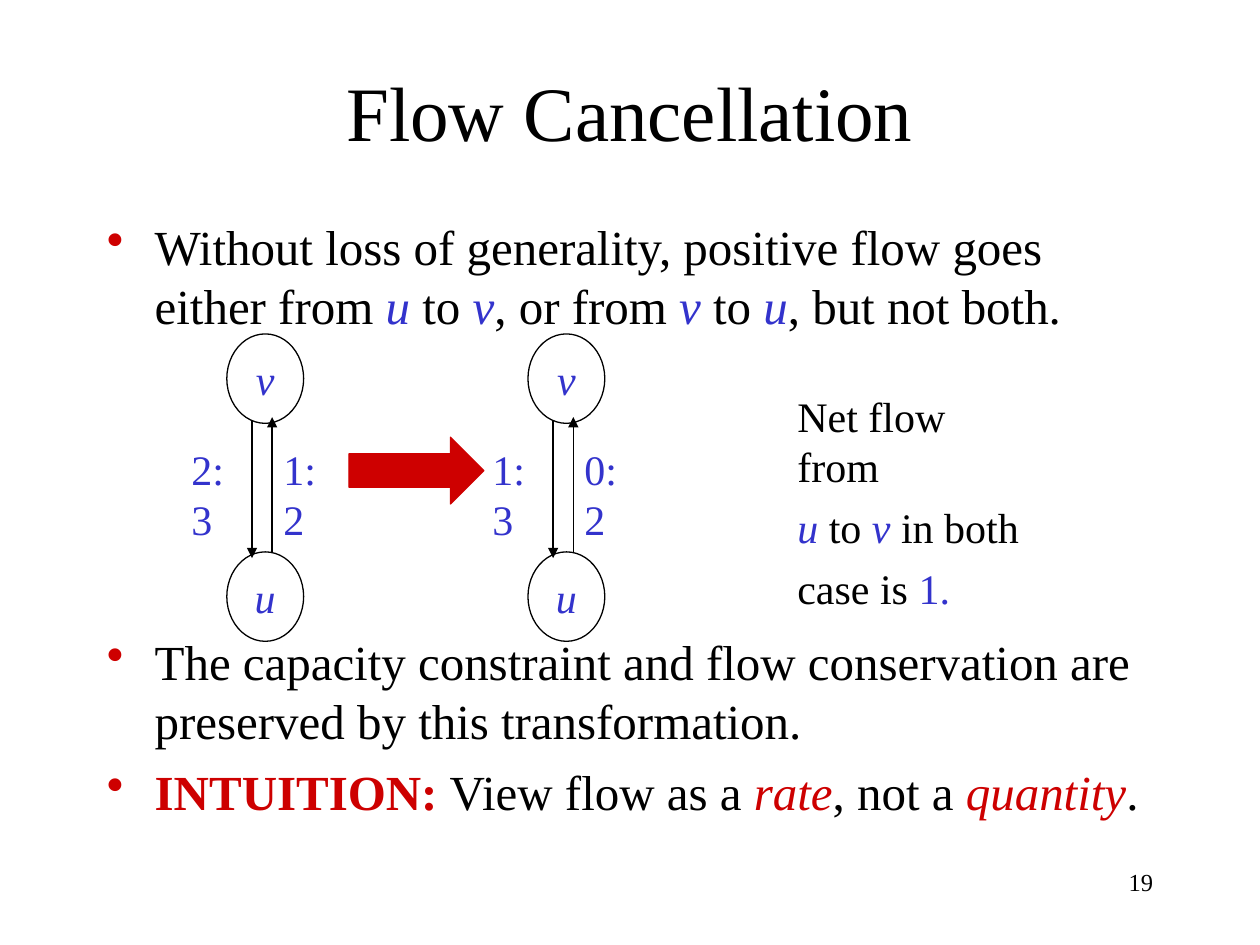
from dataclasses import dataclass

from lxml.etree import SubElement
from pptx import Presentation
from pptx.dml.color import RGBColor as RGB
from pptx.enum.shapes import MSO_CONNECTOR as CONN, MSO_SHAPE as SHAPE
from pptx.enum.text import MSO_ANCHOR as ANCHOR, PP_ALIGN as ALIGN
from pptx.oxml.ns import qn
from pptx.util import Inches, Pt


@dataclass(frozen=True)
class Theme:
    font: str = "Times New Roman"
    ink: str = "000000"
    blue: str = "3333CC"
    red: str = "CD0000"
    accent: str = "CE0000"
    title: int = 44
    body: int = 28
    label: int = 24
    number: int = 14
    line: float = 0.75


class Deck:
    def __init__(self, prs, theme):
        self.t = theme
        self.s = prs.slides.add_slide(prs.slide_layouts[6])

    def run(self, p, text, size, color=None, italic=False, bold=False):
        r = p.add_run()
        r.text = text
        f = r.font
        f.name, f.size, f.italic, f.bold = self.t.font, Pt(size), italic, bold
        f.color.rgb = RGB.from_string(color or self.t.ink)

    def text(self, box, paras, size, align=ALIGN.LEFT, anchor=ANCHOR.TOP,
             wrap=True, gaps=()):
        sp = self.s.shapes.add_textbox(*map(Inches, box))
        tf = sp.text_frame
        tf.word_wrap, tf.vertical_anchor = wrap, anchor
        for i, runs in enumerate(paras):
            p = tf.paragraphs[0] if i == 0 else tf.add_paragraph()
            p.alignment = align
            if gaps:
                p.space_before = Pt(gaps[i])
            for args in runs:
                self.run(p, args[0], size, *args[1:])
        return sp

    def bullets(self, box, paras, gaps):
        sp = self.text(box, paras, self.t.body, gaps=gaps)
        for p in sp.text_frame.paragraphs:
            pPr = p._p.get_or_add_pPr()
            pPr.set("marL", str(Inches(0.38)))
            pPr.set("indent", str(-Inches(0.38)))
            clr = SubElement(pPr, qn("a:buClr"))
            SubElement(clr, qn("a:srgbClr"), val=self.t.accent)
            SubElement(pPr, qn("a:buChar"), char="•")

    def shape(self, kind, box, line, fill=None):
        sp = self.s.shapes.add_shape(kind, *map(Inches, box))
        sp.shadow.inherit = False
        if fill:
            sp.fill.solid()
            sp.fill.fore_color.rgb = RGB.from_string(fill)
        else:
            sp.fill.background()
        sp.line.color.rgb = RGB.from_string(line)
        sp.line.width = Pt(self.t.line)
        return sp

    def node(self, x, y, name):
        sp = self.shape(SHAPE.OVAL, (x, y, 0.61, 0.71), self.t.ink)
        tf = sp.text_frame
        tf.vertical_anchor = ANCHOR.MIDDLE
        p = tf.paragraphs[0]
        p.alignment = ALIGN.CENTER
        self.run(p, name, self.t.label, self.t.blue, True)

    def arrow(self, x, y1, y2):
        c = self.s.shapes.add_connector(
            CONN.STRAIGHT, *map(Inches, (x, y1, x, y2)))
        c.line.color.rgb = RGB.from_string(self.t.ink)
        c.line.width = Pt(self.t.line)
        SubElement(c.line._get_or_add_ln(), qn("a:tailEnd"), type="triangle")
        SubElement(c._element.spPr, qn("a:effectLst"))

    def flow_pair(self, x, down, up):
        self.node(x, 2.65, "v")
        self.node(x, 4.38, "u")
        self.arrow(x + 0.36, 4.39, 3.31)
        self.arrow(x + 0.2, 3.34, 4.43)
        for dx, flow in ((-0.38, down), (0.35, up)):
            self.text((x + dx, 3.47, 0.62, 0.5), [[(flow, self.t.blue)]],
                      self.t.label, wrap=False)


def main():
    prs = Presentation()
    prs.slide_width, prs.slide_height = Inches(10), Inches(7.5)
    t = Theme()
    d = Deck(prs, t)
    u, v = ("u", t.blue, True), ("v", t.blue, True)

    d.text((0.75, 0.25, 8.5, 1.25), [[("Flow Cancellation",)]], t.title,
           ALIGN.CENTER, ANCHOR.MIDDLE)
    d.bullets((0.75, 1.67, 8.5, 5), [
        [("Without loss of generality, positive flow goes either from ",),
         u, (" to ",), v, (", or from ",), v, (" to ",), u,
         (", but not both.",)],
        [("The capacity constraint and flow conservation are preserved "
          "by this transformation.",)],
        [("INTUITION: ", t.red, False, True), ("View flow as a ",),
         ("rate", t.red, True), (", not a ",), ("quantity", t.red, True),
         (".",)],
    ], gaps=(7, 170, 7))

    d.flow_pair(1.8, "2:3", "1:2")
    d.flow_pair(4.19, "1:3", "0:2")
    sp = d.shape(SHAPE.RIGHT_ARROW, (2.77, 3.47, 1.07, 0.53), t.accent, t.accent)
    sp.adjustments[0], sp.adjustments[1] = 0.5, 0.5

    d.text((6.23, 3.05, 2.1, 1.47), [
        [("Net flow from",)],
        [u, (" to ",), v, (" in both",)],
        [("case is",), (" 1.", t.blue)],
    ], t.label, wrap=False, gaps=(6, 6, 6))
    d.text((7.17, 6.83, 2.08, 0.5), [[("19",)]], t.number, ALIGN.RIGHT)

    prs.save("out.pptx")


if __name__ == "__main__":
    main()
